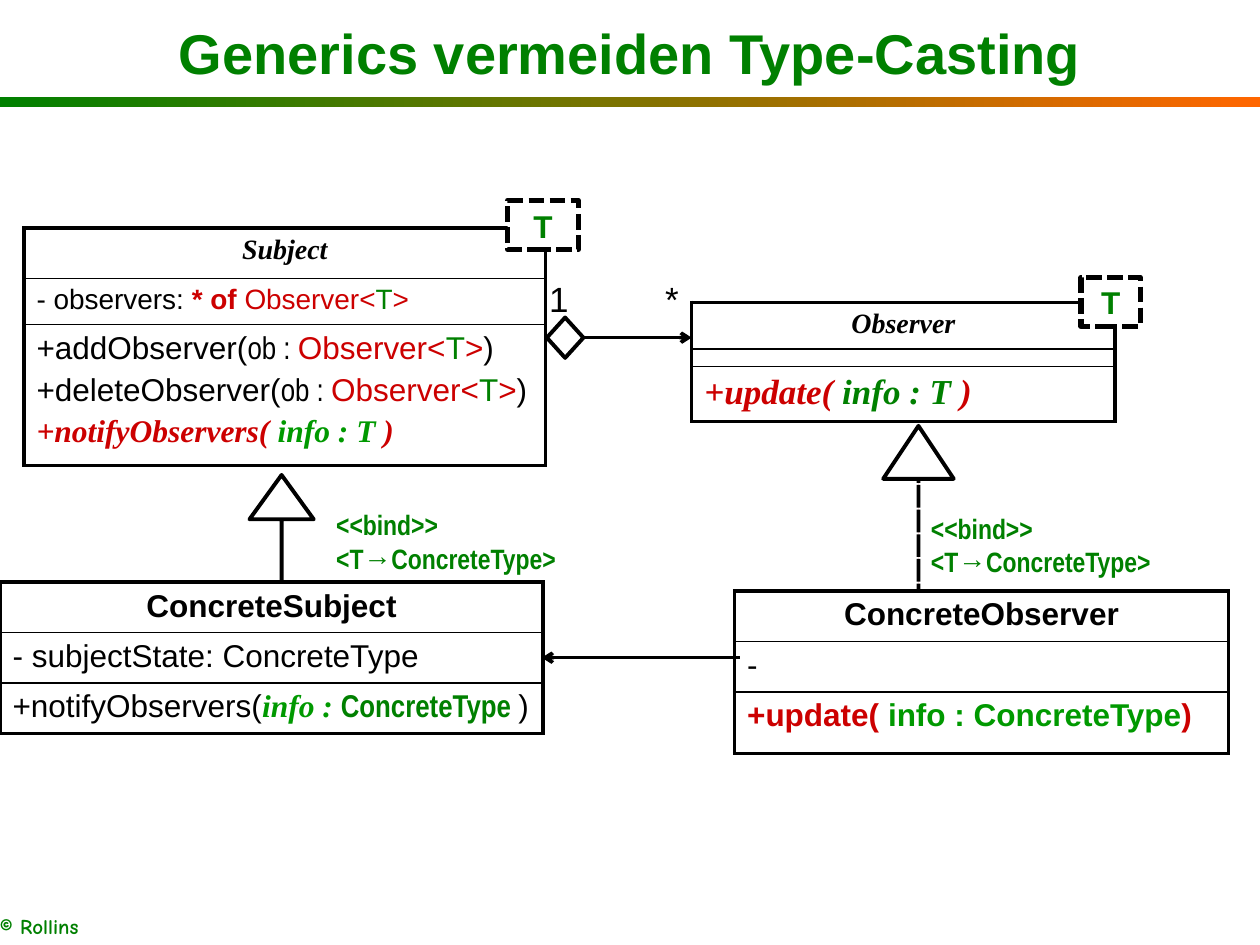
from lxml import etree
from pptx import Presentation
from pptx import util as u
from pptx.dml import color
from pptx.enum import dml, shapes, text
from pptx.oxml import ns

COLORS = {"black": "000000", "white": "FFFFFF", "green": "008000",
          "lime": "009900", "red": "CC0000", "orange": "FF6600"}
SANS, NARROW, SERIF, HAND = "Arial", "Arial Narrow", "Times New Roman", "Comic Neue"
COLS, ROWS = 100, 75


def rgb(name):
    return color.RGBColor.from_string(COLORS[name])


class Diagram:
    """Draws class diagram parts on one slide, placed on a 100 by 75 grid."""

    def __init__(self, prs):
        self.unit_x = prs.slide_width / COLS
        self.unit_y = prs.slide_height / ROWS
        self.s = prs.slides.add_slide(prs.slide_layouts[5])

    def box(self, x, y, w, h):
        return [u.Emu(round(n * unit)) for n, unit in
                zip((x, y, w, h), (self.unit_x, self.unit_y) * 2)]

    def set_runs(self, tf, lines, size, align=text.PP_ALIGN.LEFT, gap=0):
        tf.word_wrap = True
        for i, runs in enumerate(lines):
            p = tf.paragraphs[0] if i == 0 else tf.add_paragraph()
            p.alignment = align
            p.space_before = u.Pt(gap * size if i else 0)
            for words, shade, font, marks in runs:
                r = p.add_run()
                r.text = words
                r.font.size = u.Pt(size)
                r.font.name = font
                r.font.bold = "b" in marks
                r.font.italic = "i" in marks
                r.font.color.rgb = rgb(shade)

    def title(self, words, *place):
        sp = self.s.shapes.title
        sp.left, sp.top, sp.width, sp.height = self.box(*place)
        tf = sp.text_frame
        tf.auto_size = text.MSO_AUTO_SIZE.NONE
        tf.vertical_anchor = text.MSO_ANCHOR.MIDDLE
        self.set_runs(tf, [[(words, "green", SANS, "b")]], 32, text.PP_ALIGN.CENTER)

    def label(self, lines, size, *place, left=1):
        sp = self.s.shapes.add_textbox(*self.box(*place))
        sp.text_frame.margin_left = u.Emu(round(left * self.unit_x))
        self.set_runs(sp.text_frame, lines, size)

    def shape(self, kind, *place, fill="white", width=2.25, dash=None, adj=()):
        sp = self.s.shapes.add_shape(kind, *self.box(*place))
        sp.shadow.inherit = False
        sp.fill.solid()
        sp.fill.fore_color.rgb = rgb(fill)
        sp.line.color.rgb = rgb("black")
        sp.line.width = u.Pt(width)
        if dash:
            sp.line.dash_style = dash
        for i, value in enumerate(adj):
            sp.adjustments[i] = value
        return sp

    def gradient_bar(self, start, end, *place):
        sp = self.shape(shapes.MSO_SHAPE.RECTANGLE, *place)
        sp.line.fill.background()
        sp.fill.gradient()
        sp.fill.gradient_angle = 0
        for stop, name in zip(sp.fill.gradient_stops, (start, end)):
            stop.color.rgb = rgb(name)

    def parameter(self, words, *place):
        sp = self.shape(shapes.MSO_SHAPE.RECTANGLE, *place, width=3,
                        dash=dml.MSO_LINE.SQUARE_DOT)
        sp.text_frame.vertical_anchor = text.MSO_ANCHOR.TOP
        self.set_runs(sp.text_frame, [[(words, "green", SANS, "b")]], 18,
                      text.PP_ALIGN.CENTER)

    def arrow(self, x1, y1, x2, y2):
        sp = self.s.shapes.add_connector(shapes.MSO_CONNECTOR.STRAIGHT,
                                         *self.box(x1, y1, x2, y2))
        sp.line.color.rgb = rgb("black")
        sp.line.width = u.Pt(2)
        etree.SubElement(sp.line._get_or_add_ln(), ns.qn("a:tailEnd"), type="arrow")
        etree.SubElement(sp._element.spPr, ns.qn("a:effectLst"))

    def border(self, cell, side, width):
        ln = etree.SubElement(cell._tc.get_or_add_tcPr(), ns.qn("a:ln" + side),
                              w=str(u.Pt(width)))
        fill = etree.SubElement(ln, ns.qn("a:solidFill"))
        etree.SubElement(fill, ns.qn("a:srgbClr"), val=COLORS["black"])

    def class_box(self, x, y, w, sections):
        height = sum(h for h, _, _ in sections)
        frame = self.s.shapes.add_table(len(sections), 1, *self.box(x, y, w, height))
        table = frame.table
        table.first_row = table.horz_banding = False
        last = len(sections) - 1
        for i, (h, size, lines) in enumerate(sections):
            table.rows[i].height = u.Emu(round(h * self.unit_y))
            cell = table.cell(i, 0)
            widths = {"L": 2.25, "R": 2.25, "T": 1 if i else 2.25,
                      "B": 2.25 if i == last else 1}
            for side, width in widths.items():
                self.border(cell, side, width)
            cell.fill.solid()
            cell.fill.fore_color.rgb = rgb("white")
            if lines:
                align = text.PP_ALIGN.LEFT if i else text.PP_ALIGN.CENTER
                self.set_runs(cell.text_frame, lines, size, align, 0.2)
            else:
                cell.margin_top = cell.margin_bottom = 0
                cell.text_frame.paragraphs[0].font.size = u.Pt(size)


def observer_type():
    return [("Observer<", "red", SANS, ""), ("T", "green", SANS, ""),
            (">", "red", SANS, "")]


def observer_method(name):
    return [(f"+{name}(", "black", SANS, ""), ("ob : ", "black", NARROW, ""),
            *observer_type(), (")", "black", SANS, "")]


def generic_method(name, info, shade, font, marks):
    return [(f"+{name}( ", "red", font, marks), (info, shade, font, marks),
            (")", "red", font, marks)]


def main():
    prs = Presentation()
    prs.slide_width, prs.slide_height = u.Inches(10), u.Inches(7.5)
    d = Diagram(prs)
    kind = shapes.MSO_SHAPE

    d.gradient_bar("green", "orange", 0, 7.7, 100, 0.8)
    d.label([[("© Rollins", "green", HAND, "b")]], 12, 0, 72, 15, 2.5, left=0)
    d.title("Generics vermeiden Type-Casting", 0, 0.4, 100, 7.4)

    d.shape(kind.UP_ARROW, 19.8, 37.7, 5.1, 10.6, adj=(0, 0.69))
    d.shape(kind.UP_ARROW, 71.3, 33.9, 3.2, 23.1, fill="red", width=2,
            dash=dml.MSO_LINE.DASH, adj=(0, 0.85))
    d.shape(kind.ISOSCELES_TRIANGLE, 70.1, 33.8, 5.6, 4.2)

    d.class_box(1.9, 18.1, 41.4, [
        (4, 16, [[("Subject", "black", SERIF, "bi")]]),
        (3.5, 16, [[("- observers: ", "black", SANS, ""),
                    ("* of ", "red", SANS, "b"), *observer_type()]]),
        (11.2, 18, [observer_method("addObserver"), observer_method("deleteObserver"),
                    generic_method("notifyObservers", "info : T ", "lime", SERIF, "bi")])])
    d.class_box(54.9, 24, 33.6, [
        (3.7, 16, [[("Observer", "black", SERIF, "bi")]]),
        (1.4, 6, []),
        (4.3, 20, [generic_method("update", "info : T ", "green", SERIF, "bi")])])
    d.class_box(0, 46.2, 43.1, [
        (4, 18, [[("ConcreteSubject", "black", SANS, "b")]]),
        (4, 18, [[("- subjectState: ConcreteType", "black", SANS, "")]]),
        (3.8, 18, [[("+notifyObservers(", "black", SANS, ""),
                    ("info : ", "lime", SERIF, "bi"),
                    ("ConcreteType ", "green", NARROW, "b"),
                    (")", "black", SANS, "")]])])
    d.class_box(58.3, 46.9, 39.2, [
        (4, 18, [[("ConcreteObserver", "black", SANS, "b")]]),
        (4, 18, [[("-", "black", SANS, "")]]),
        (4.9, 18, [generic_method("update", "info : ConcreteType", "lime", SANS, "b")])])

    d.arrow(58.7, 52.2, 43, 52.2)
    d.arrow(43.3, 26.8, 54.9, 26.8)
    for words, x in (("1", 42.6), ("*", 51.8)):
        d.label([[(words, "black", SANS, "")]], 20, x, 21.5, 4, 4.4)
    d.shape(kind.DIAMOND, 43.4, 25.2, 2.9, 3.2)

    d.parameter("T", 40.3, 15.9, 5.6, 3.9)
    d.parameter("T", 85.8, 22, 4.7, 3.9)
    binding = [[(line, "green", NARROW, "b")]
               for line in ("<<bind>>", "<T→ConcreteType>")]
    d.label(binding, 16, 25.7, 39.8, 26.4, 6.4)
    d.label(binding, 16, 72.9, 40.1, 20.9, 6.4)

    prs.save("out.pptx")


if __name__ == "__main__":
    main()
